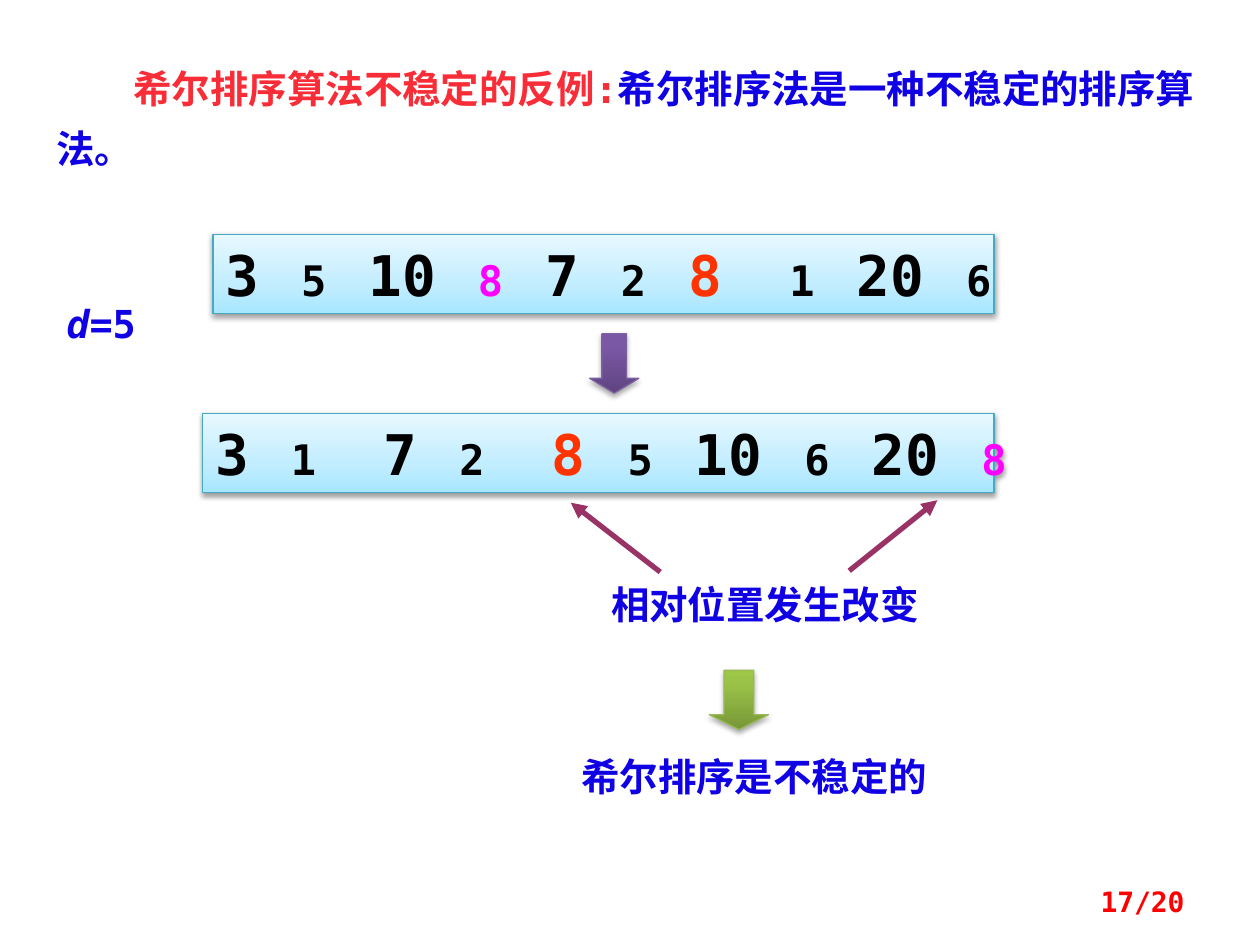
from lxml import etree
from pptx import Presentation
from pptx.dml.color import RGBColor
from pptx.enum.shapes import MSO_CONNECTOR, MSO_SHAPE
from pptx.enum.text import MSO_ANCHOR, PP_ALIGN
from pptx.oxml import parse_xml
from pptx.oxml.ns import qn
from pptx.util import Inches, Pt

LEFT, CENTER, RIGHT = PP_ALIGN.LEFT, PP_ALIGN.CENTER, PP_ALIGN.RIGHT
TOP, MIDDLE = MSO_ANCHOR.TOP, MSO_ANCHOR.MIDDLE
RECTANGLE, DOWN_ARROW = MSO_SHAPE.RECTANGLE, MSO_SHAPE.DOWN_ARROW
STRAIGHT = MSO_CONNECTOR.STRAIGHT

FONT = "DejaVu Sans Mono"
NAMESPACE = "http://schemas.openxmlformats.org/drawingml/2006/main"
BLUE = RGBColor(0x10, 0x00, 0xE4)
CRIMSON = RGBColor(0xF9, 0x2D, 0x37)
RED = RGBColor(0xFF, 0x00, 0x00)
BLACK = RGBColor(0x00, 0x00, 0x00)
MAGENTA = RGBColor(0xFF, 0x00, 0xFF)
ORANGE = RGBColor(0xFF, 0x33, 0x00)
PLUM = RGBColor(0x99, 0x33, 0x66)
CYAN_LINE = RGBColor(0x46, 0xAA, 0xC5)
PURPLE_LINE = RGBColor(0x7D, 0x60, 0xA0)
GREEN_LINE = RGBColor(0x98, 0xB9, 0x55)
CYAN_STOPS = [(0, "A7E6FF"), (35, "C1EDFF"), (100, "E7F8FF")]
PURPLE_STOPS = [(0, "5F4480"), (80, "7B58A6"), (100, "7C57A8")]
GREEN_STOPS = [(0, "779737"), (80, "9BC348"), (100, "9DC746")]

presentation = Presentation()
presentation.slide_width, presentation.slide_height = Inches(10), Inches(7.5)
slide = presentation.slides.add_slide(presentation.slide_layouts[6])


def write_text(runs, box=None, shape=None, size=22, color=BLUE, align=LEFT,
               anchor=TOP, wrap=True, line_spacing=None, indent=0):
    """Write runs, each a text and its own format, in a shape or a new text box."""
    if shape is None:
        shape = slide.shapes.add_textbox(*map(Inches, box))
    frame = shape.text_frame
    frame.word_wrap = wrap
    frame.vertical_anchor = anchor
    paragraph = frame.paragraphs[0]
    paragraph.alignment = align
    if line_spacing:
        paragraph.line_spacing = line_spacing
    if indent:
        paragraph._p.get_or_add_pPr().set("indent", str(Pt(indent)))
    for text, own in runs:
        run = paragraph.add_run()
        run.text = text
        run.font.name = FONT
        run.font.size = Pt(own.get("size", size))
        run.font.bold = True
        run.font.italic = own.get("italic", False)
        run.font.color.rgb = own.get("color", color)
        east_asian = etree.SubElement(run._r.get_or_add_rPr(), qn("a:ea"))
        east_asian.set("typeface", FONT)


def add_glossy_shape(kind, box, stops, line_color, opacity, distance):
    """Add a shape with an upward gradient, a thin outline and a soft shadow."""
    shape = slide.shapes.add_shape(kind, *map(Inches, box))
    shape.line.color.rgb = line_color
    shape.line.width = Pt(0.75)
    stop_xml = "".join(
        f'<a:gs pos="{position * 1000}"><a:srgbClr val="{color}"/></a:gs>'
        for position, color in stops)
    gradient = parse_xml(
        f'<a:gradFill xmlns:a="{NAMESPACE}" rotWithShape="1"><a:gsLst>{stop_xml}'
        '</a:gsLst><a:lin ang="16200000" scaled="0"/></a:gradFill>')
    effects = parse_xml(
        f'<a:effectLst xmlns:a="{NAMESPACE}"><a:outerShdw blurRad="{Pt(3.1)}" '
        f'dist="{Pt(distance)}" dir="5400000" rotWithShape="0">'
        f'<a:srgbClr val="000000"><a:alpha val="{opacity * 1000}"/></a:srgbClr>'
        '</a:outerShdw></a:effectLst>')
    properties = shape._element.spPr
    properties.find(qn("a:prstGeom")).addnext(gradient)
    properties.find(qn("a:ln")).addnext(effects)
    return shape


write_text([("希尔排序算法不稳定的反例:".replace(":", ":"), {"color": CRIMSON}),
            ("希尔排序法是一种不稳定的排序算法。", {})],
           box=(0.35, 0.36, 9.45, 1.01), line_spacing=1.3, indent=44)

# Each row: box, numbers, colours by index, indexes followed by a wider gap
number_rows = [
    ((1.69, 1.86, 6.2, 0.63), [3, 5, 10, 8, 7, 2, 8, 1, 20, 6],
     {3: MAGENTA, 6: ORANGE}, {6}),
    ((1.61, 3.28, 6.28, 0.63), [3, 1, 7, 2, 8, 5, 10, 6, 20, 8],
     {4: ORANGE, 9: MAGENTA}, {1, 3}),
]
for box, numbers, colors, wide_gaps in number_rows:
    row = add_glossy_shape(RECTANGLE, box, CYAN_STOPS, CYAN_LINE, 38, 1.6)
    runs = []
    for index, number in enumerate(numbers):
        runs.append((str(number), {"size": 24 if index % 2 else 32,
                                   "color": colors.get(index, BLACK)}))
        if index < len(numbers) - 1:
            runs.append(("\u3000 " if index in wide_gaps else "\u3000", {}))
    write_text(runs, shape=row, size=24, color=BLACK, anchor=MIDDLE, wrap=False)

write_text([("d", {"italic": True}), ("=5", {})], box=(0.43, 2.33, 0.9, 0.47))

for box, head, stops, line_color in [
        ((4.68, 2.65, 0.39, 0.47), 0.3, PURPLE_STOPS, PURPLE_LINE),
        ((5.63, 5.32, 0.47, 0.47), 0.25, GREEN_STOPS, GREEN_LINE)]:
    arrow = add_glossy_shape(DOWN_ARROW, box, stops, line_color, 35, 1.8)
    arrow.adjustments[0] = 0.5
    arrow.adjustments[1] = head

for ends in [(5.24, 4.54, 4.53, 3.99), (6.74, 4.53, 7.44, 3.97)]:
    pointer = slide.shapes.add_connector(STRAIGHT, *map(Inches, ends))
    pointer.line.color.rgb = PLUM
    pointer.line.width = Pt(3)
    etree.SubElement(pointer.line._get_or_add_ln(), qn("a:tailEnd")).set("type", "triangle")
    etree.SubElement(pointer._element.spPr, qn("a:effectLst"))

for text, box in [("相对位置发生改变", (4.22, 4.56, 3.7, 0.47)),
                  ("希尔排序是不稳定的", (4.21, 5.93, 3.55, 0.47))]:
    write_text([(text, {})], box=box, align=CENTER)

write_text([("17/20", {})], box=(7.17, 6.95, 2.33, 0.4), size=16, color=RED,
           align=RIGHT, anchor=MIDDLE)

presentation.save("out.pptx")
